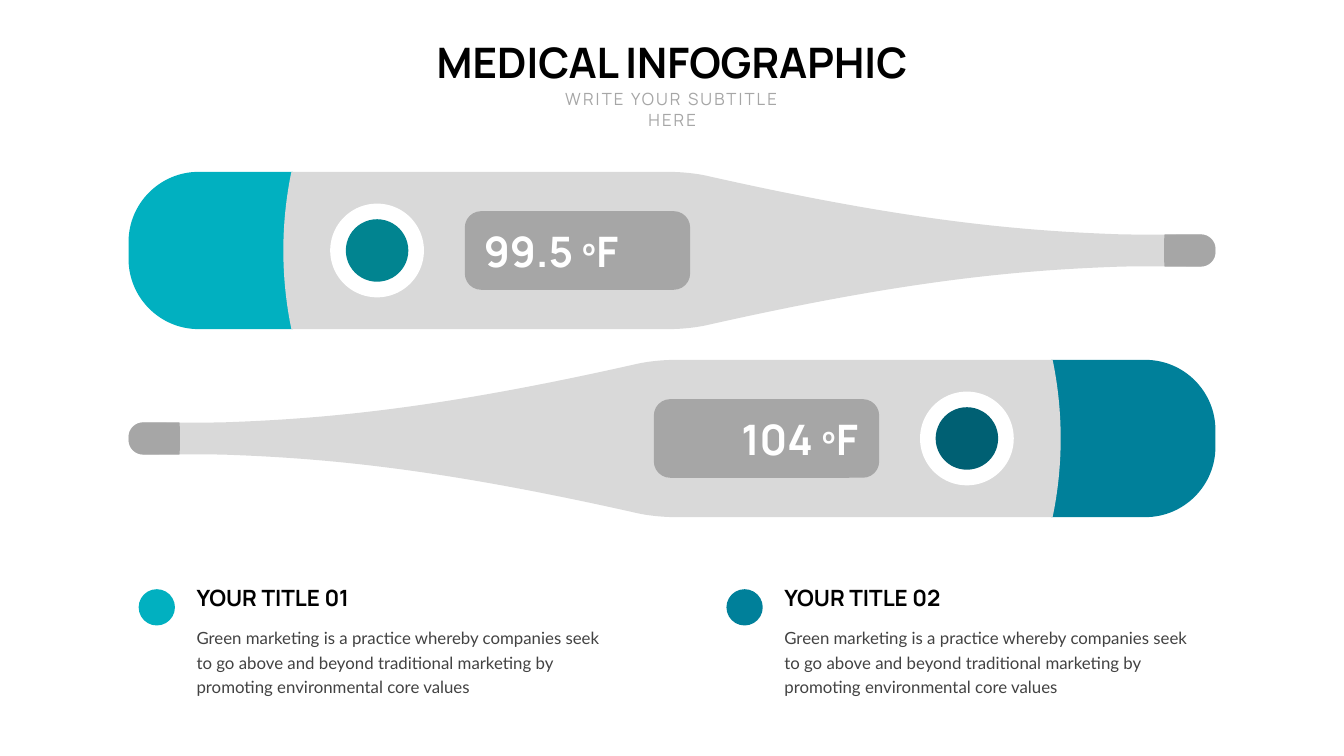
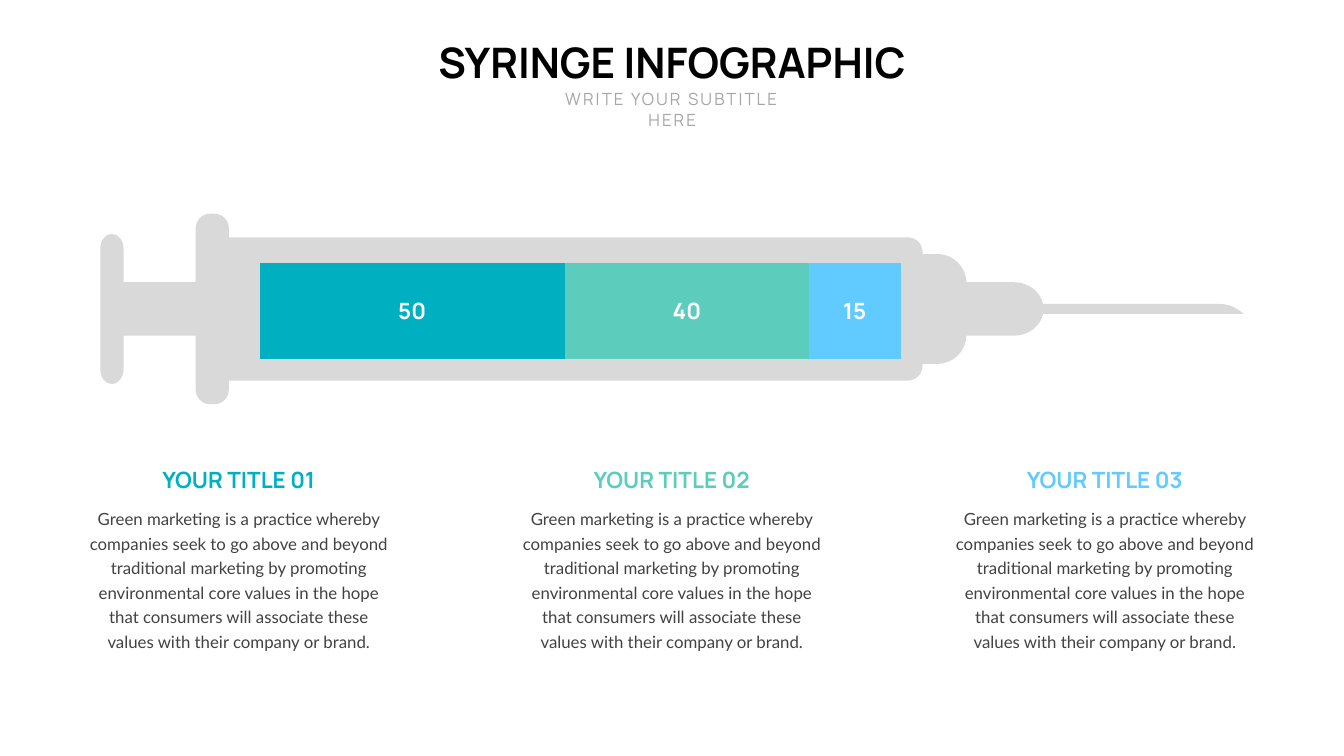
from dataclasses import dataclass

from lxml.etree import SubElement
from pptx import Presentation
from pptx.chart.data import CategoryChartData
from pptx.dml.color import RGBColor
from pptx.enum.chart import XL_CHART_TYPE, XL_LABEL_POSITION, XL_TICK_LABEL_POSITION, XL_TICK_MARK
from pptx.enum.shapes import MSO_SHAPE
from pptx.enum.text import MSO_ANCHOR, MSO_AUTO_SIZE, PP_ALIGN
from pptx.oxml.ns import qn
from pptx.oxml.xmlchemy import OxmlElement
from pptx.util import Inches, Pt

WIDE, HIGH = 26.66, 15
HEAD, BODY = "Manrope", "Lato"
HUES = {
    "white": "FFFFFF", "black": "000000", "text": "424242",
    "light": "D9D9D9", "grey": "A6A6A6",
    "teal": "01B0C0", "deep": "018490", "blue": "00809A", "navy": "006073",
    "mint": "5CCDBC", "sky": "61CAFF",
}
BLURB = (
    "Green marketing is a practice whereby companies seek to go above and beyond "
    "traditional marketing by promoting environmental core values"
)
LONG = BLURB + " in the hope that consumers will associate these values with their company or brand."

CAP = [
    (2.55, -0.17),
    (2.55, -0.93, 3.17, -1.56, 3.94, -1.56),
    (5.81, -1.56),
    (5.71, -1.08, 5.65, -0.56, 5.65, 0),
]
STEM = [
    (5.62, 0),
    (5.62, -0.55, 5.68, -1.08, 5.78, -1.56),
    (13.29, -1.56),
    (13.29, -1.56, 13.7, -1.56, 14.07, -1.47),
    (17.94, -0.6, 20.17, -0.39, 22.23, -0.32),
    (22.62, -0.31, 23.82, -0.32, 23.82, -0.32),
    (23.98, -0.32, 24.11, -0.19, 24.11, -0.03),
]
TIP = [
    (23.09, 0),
    (23.09, -0.11, 23.09, -0.21, 23.1, -0.32),
    (23.81, -0.32),
    (23.98, -0.32, 24.11, -0.19, 24.11, -0.03),
]
BARREL = [
    (1.99, -1.2),
    (1.99, -1.36, 2.09, -1.49, 2.22, -1.49),
    (2.34, -1.49, 2.45, -1.36, 2.45, -1.2),
    (2.45, -0.53),
    (3.88, -0.53),
    (3.88, -1.6),
    (3.88, -1.76, 4.01, -1.89, 4.17, -1.89),
    (4.25, -1.89),
    (4.41, -1.89, 4.54, -1.76, 4.54, -1.6),
    (4.54, -1.42),
    (18.01, -1.42),
    (18.17, -1.42, 18.3, -1.29, 18.3, -1.13),
    (18.3, -1.09),
    (18.59, -1.09),
    (18.91, -1.09, 19.16, -0.84, 19.17, -0.53),
    (20.12, -0.53),
    (20.4, -0.53, 20.64, -0.34, 20.69, -0.1),
]
NEEDLE = [(24.19, -0.1), (24.48, -0.1, 24.67, 0.1, 24.67, 0.1)]


@dataclass
class Gauge:
    mid: float
    flip: bool
    cap: str
    knob: str
    value: str
    left: float
    width: float


@dataclass
class Entry:
    title: str
    hue: str
    width: float
    value: int = 0


GAUGES = [
    Gauge(4.97, False, "teal", "deep", "99.5 ºF", 9.5, 3.05),
    Gauge(8.7, True, "blue", "navy", "104 ºF", 14.46, 2.66),
]
NOTES = [Entry("YOUR TITLE 01", "teal", 3.23), Entry("YOUR TITLE 02", "blue", 3.32)]
DOSES = [
    Entry("YOUR TITLE 01", "teal", 3.23, 50),
    Entry("YOUR TITLE 02", "mint", 3.32, 40),
    Entry("YOUR TITLE 03", "sky", 3.34, 15),
]


def tint(hue: str) -> RGBColor:
    return RGBColor.from_string(HUES[hue])


def paint(shape, hue: str) -> None:
    shape.shadow.inherit = False
    shape.fill.solid()
    shape.fill.fore_color.rgb = tint(hue)
    shape.line.fill.background()


def pairs(step: tuple) -> list:
    return list(zip(step[::2], step[1::2]))


def whole(half: list, end: tuple = ()) -> list:
    x, y = half[-1][-2:]
    steps = [*half, *end]
    if y:
        steps.append((x, -y))
    for last, step in zip(half[-2::-1], half[:0:-1]):
        spots = [*pairs(step)[-2::-1], last[-2:]]
        steps.append(tuple(n for a, b in spots for n in (a, -b)))
    return steps


def draw(slide, steps: list, mid: float, hue: str, flip: bool = False) -> None:
    routes = [[(Inches(WIDE - x if flip else x), Inches(mid + y)) for x, y in pairs(step)]
              for step in steps]
    pen = slide.shapes.build_freeform(*routes[0][0])
    pen.add_line_segments([route[-1] for route in routes[1:]], close=True)
    shape = pen.convert_to_shape()
    for node, route in zip(list(shape._element.iter(qn("a:lnTo"))), routes[1:]):
        if len(route) == 3:
            curve = OxmlElement("a:cubicBezTo")
            for x, y in route:
                spot = SubElement(curve, qn("a:pt"))
                spot.set("x", str(x - shape.left))
                spot.set("y", str(y - shape.top))
            node.getparent().replace(node, curve)
    paint(shape, hue)


def block(slide, kind: MSO_SHAPE, left: float, top: float, width: float, height: float, hue: str):
    shape = slide.shapes.add_shape(kind, Inches(left), Inches(top), Inches(width), Inches(height))
    paint(shape, hue)
    return shape


def write(slide, text: str, left: float, top: float, width: float, height: float, *,
          size: int = 24, font: str = HEAD, hue: str = "black", bold: bool = False,
          align: PP_ALIGN = PP_ALIGN.LEFT, anchor: MSO_ANCHOR = MSO_ANCHOR.TOP,
          wrap: bool = False, lead: int = 0, track: int = 0) -> None:
    box = slide.shapes.add_textbox(Inches(left), Inches(top), Inches(width), Inches(height))
    frame = box.text_frame
    frame.word_wrap = wrap
    frame.auto_size = MSO_AUTO_SIZE.SHAPE_TO_FIT_TEXT
    frame.vertical_anchor = anchor
    para = frame.paragraphs[0]
    para.alignment = align
    if lead:
        para.line_spacing = Pt(lead)
        para.space_before = Pt(size * 0.2)
    run = para.add_run()
    run.text = text
    run.font.size = Pt(size)
    run.font.name = font
    run.font.bold = bold
    run.font.color.rgb = tint(hue)
    if track:
        run.font._element.set("spc", str(track * 100))


def start(deck, title: str, width: float):
    slide = deck.slides.add_slide(deck.slide_layouts[6])
    slide.background.fill.solid()
    slide.background.fill.fore_color.rgb = tint("white")
    write(slide, title, (WIDE - width) / 2, 0.67, width, 1.11,
          size=60, bold=True, align=PP_ALIGN.CENTER)
    write(slide, "WRITE YOUR SUBTITLE HERE", 10.62, 1.72, 5.43, 0.5,
          hue="grey", align=PP_ALIGN.CENTER, wrap=True, track=3)
    return slide


def label(slide, text: str, left: float, top: float, width: float, **form) -> None:
    write(slide, text, left, top, width, 0.64, size=32, bold=True, **form)


def prose(slide, text: str, left: float, top: float, width: float, height: float, **form) -> None:
    write(slide, text, left, top, width, height,
          font=BODY, hue="text", wrap=True, lead=35, **form)


def gauge(slide, item: Gauge) -> None:
    def place(left: float, width: float) -> float:
        return WIDE - left - width if item.flip else left

    for steps, hue in ((CAP, item.cap), (STEM, "light"), (TIP, "grey")):
        draw(slide, whole(steps), item.mid, hue, item.flip)
    for size, hue in ((1.86, "white"), (1.24, item.knob)):
        block(slide, MSO_SHAPE.OVAL, place(7.48 - size / 2, size), item.mid - size / 2,
              size, size, hue)
    screen = block(slide, MSO_SHAPE.ROUNDED_RECTANGLE, place(9.22, 4.47), item.mid - 0.78,
                   4.47, 1.56, "grey")
    screen.adjustments[0] = 0.208
    write(slide, item.value, item.left, item.mid - 0.55, item.width, 1.11,
          size=60, bold=True, hue="white", anchor=MSO_ANCHOR.MIDDLE,
          align=PP_ALIGN.RIGHT if item.flip else PP_ALIGN.LEFT)


def frame_plot(chart, left: float, top: float, width: float, height: float) -> None:
    area = chart._chartSpace.chart.plotArea
    for old in area.findall(qn("c:layout")):
        area.remove(old)
    layout = SubElement(area, qn("c:layout"))
    area.insert(0, layout)
    manual = SubElement(layout, qn("c:manualLayout"))
    values = {"layoutTarget": "inner", "xMode": "edge", "yMode": "edge",
              "x": left, "y": top, "w": width, "h": height}
    for tag, value in values.items():
        SubElement(manual, qn(f"c:{tag}")).set("val", str(value))


def dose_chart(slide) -> None:
    data = CategoryChartData()
    data.categories = ["1"]
    for i, dose in enumerate(DOSES, 1):
        data.add_series(f"Series {i}", [dose.value])
    chart = slide.shapes.add_chart(
        XL_CHART_TYPE.BAR_STACKED_100, Inches(4.62), Inches(4.26),
        Inches(13.31), Inches(3.42), data).chart
    chart.has_legend = False
    chart.has_title = False
    chart.font.size = Pt(32)
    chart.font.name = HEAD
    chart.font.bold = True
    chart.font.color.rgb = tint("white")
    for axis in (chart.category_axis, chart.value_axis):
        axis.has_major_gridlines = False
        axis.major_tick_mark = axis.minor_tick_mark = XL_TICK_MARK.NONE
        axis.tick_label_position = XL_TICK_LABEL_POSITION.NONE
        axis.format.line.fill.background()
    chart.category_axis.reverse_order = True
    chart.value_axis.tick_labels.number_format = "0%"
    chart.value_axis.tick_labels.number_format_is_linked = False
    plot = chart.plots[0]
    plot.vary_by_categories = False
    plot.gap_width = 20
    plot.overlap = 100
    for series, dose in zip(plot.series, DOSES):
        series.format.fill.solid()
        series.format.fill.fore_color.rgb = tint(dose.hue)
        marks = series.data_labels
        marks.show_value = True
        marks.position = XL_LABEL_POSITION.CENTER
        marks.number_format = "0"
        marks.number_format_is_linked = False
    frame_plot(chart, 0.04, 0.227, 0.955, 0.663)


def gauge_slide(deck) -> None:
    slide = start(deck, "MEDICAL INFOGRAPHIC", 9.98)
    for item in GAUGES:
        gauge(slide, item)
    for i, note in enumerate(NOTES):
        left = 3.8 + 11.66 * i
        label(slide, note.title, left, 11.54, note.width, anchor=MSO_ANCHOR.MIDDLE)
        prose(slide, BLURB, left, 12.32, 8.52, 1.52)
        block(slide, MSO_SHAPE.OVAL, left - 1.05, 11.69, 0.72, 0.72, note.hue)


def dose_slide(deck) -> None:
    slide = start(deck, "SYRINGE INFOGRAPHIC", 9.84)
    draw(slide, whole(BARREL, NEEDLE), 6.13, "light")
    dose_chart(slide)
    for i, dose in enumerate(DOSES):
        left, width = 1.66 + 8.59 * i, 6.15
        label(slide, dose.title, left + (width - dose.width) / 2, 9.19, dose.width,
              hue=dose.hue, align=PP_ALIGN.CENTER, anchor=MSO_ANCHOR.BOTTOM)
        prose(slide, LONG, left, 9.96, width, 3, align=PP_ALIGN.CENTER)


def main() -> None:
    deck = Presentation()
    deck.slide_width, deck.slide_height = Inches(WIDE), Inches(HIGH)
    gauge_slide(deck)
    dose_slide(deck)
    deck.save("out.pptx")


if __name__ == "__main__":
    main()
